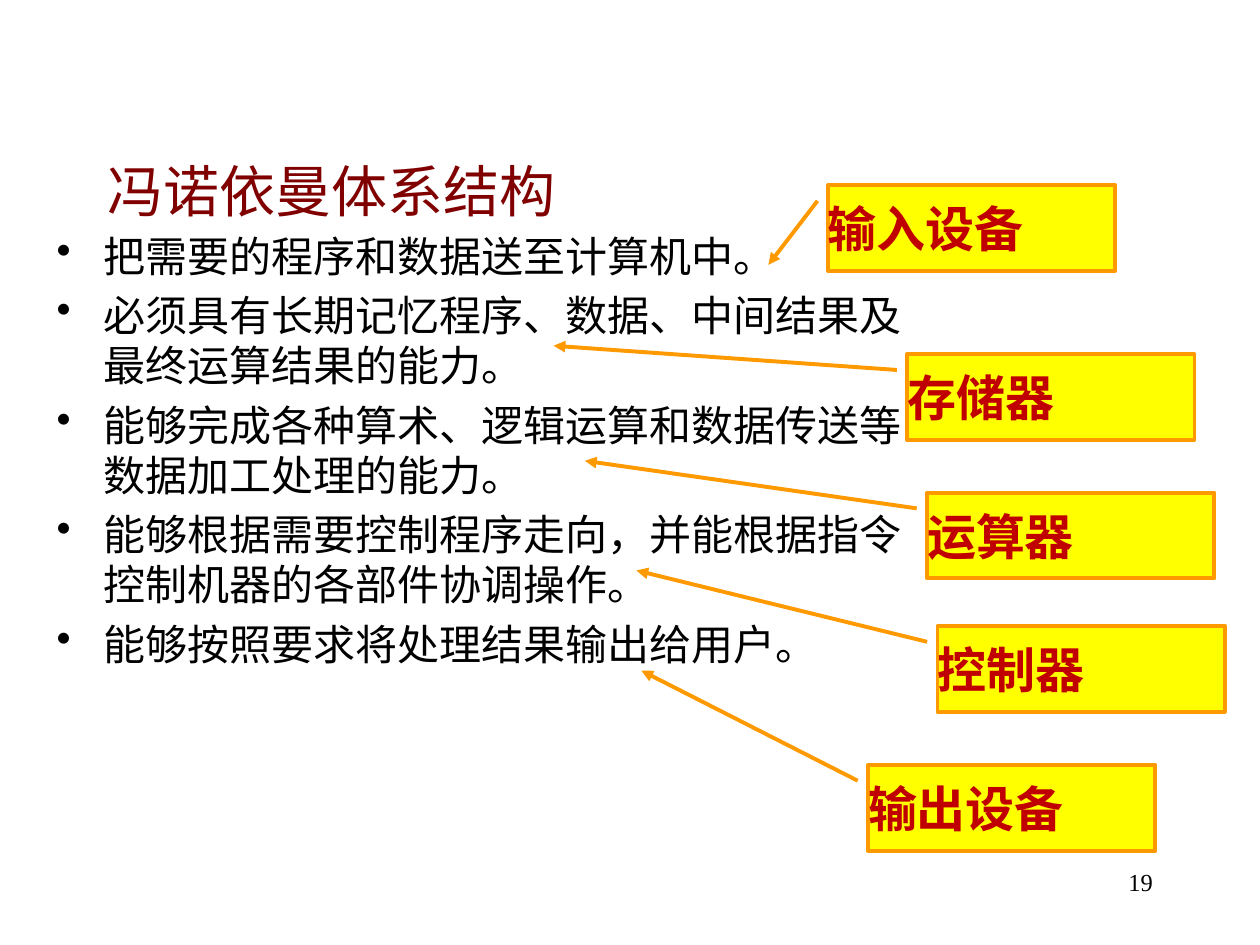
from dataclasses import dataclass

from lxml import etree
from pptx import Presentation
from pptx.dml.color import RGBColor
from pptx.enum.shapes import MSO_SHAPE
from pptx.enum.text import MSO_ANCHOR, PP_ALIGN
from pptx.oxml.ns import qn
from pptx.util import Cm, Pt

CALLOUT = MSO_SHAPE.LINE_CALLOUT_1
MIDDLE = MSO_ANCHOR.MIDDLE
LEFT, RIGHT = PP_ALIGN.LEFT, PP_ALIGN.RIGHT


@dataclass(frozen=True)
class Theme:
    font: str = "Times New Roman"
    black: str = "000000"
    maroon: str = "800000"
    red: str = "C00000"
    yellow: str = "FFFF00"
    orange: str = "FF9900"
    title: float = 32
    body: float = 24
    label: float = 28
    number: float = 14
    gap: float = 5
    line: float = 2.25


THEME = Theme()
INDENT = Cm(0.95)
WIDE, HIGH = 5.79, 1.73
START_X, START_Y = -0.21, 0.32

POINTS = [
    "把需要的程序和数据送至计算机中。",
    "必须具有长期记忆程序、数据、中间结果及最终运算结果的能力。",
    "能够完成各种算术、逻辑运算和数据传送等数据加工处理的能力。",
    "能够根据需要控制程序走向，并能根据指令控制机器的各部件协调操作。",
    "能够按照要求将处理结果输出给用户。",
]

UNITS = [
    ("输入设备", (16.69, 3.73), (15.49, 5.34)),
    ("存储器", (18.29, 7.14), (11.16, 6.97)),
    ("运算器", (18.69, 9.93), (11.79, 9.29)),
    ("控制器", (18.9, 12.62), (12.83, 11.5)),
    ("输出设备", (17.5, 15.42), (12.93, 13.52)),
]


def style(para, size, color, bold=False):
    for run in para.runs:
        run.font.name = THEME.font
        run.font.size = Pt(size)
        run.font.bold = bold
        run.font.color.rgb = RGBColor.from_string(color)


def add_text(slide, box, lines, size, color):
    frame = slide.shapes.add_textbox(*map(Cm, box)).text_frame
    frame.word_wrap = True
    frame.text = "\n".join(lines)
    for para in frame.paragraphs:
        style(para, size, color)
    return frame


def add_list(slide, box, lines):
    frame = add_text(slide, box, lines, THEME.body, THEME.black)
    for i, para in enumerate(frame.paragraphs):
        if i:
            para.space_before = Pt(THEME.gap)
        props = para._p.get_or_add_pPr()
        props.set("marL", str(INDENT))
        props.set("indent", str(-INDENT))
        etree.SubElement(props, qn("a:buChar"), char="•")


def add_label(slide, text, spot, tip):
    left, top = spot
    shape = slide.shapes.add_shape(CALLOUT, Cm(left), Cm(top), Cm(WIDE), Cm(HIGH))
    ends = (START_Y / HIGH, START_X / WIDE,
            (tip[1] - top) / HIGH, (tip[0] - left) / WIDE)
    for i, value in enumerate(ends):
        shape.adjustments[i] = value
    shape.shadow.inherit = False
    shape.fill.solid()
    shape.fill.fore_color.rgb = RGBColor.from_string(THEME.yellow)
    shape.line.color.rgb = RGBColor.from_string(THEME.orange)
    shape.line.width = Pt(THEME.line)
    etree.SubElement(shape.line._get_or_add_ln(), qn("a:tailEnd"), type="triangle")
    frame = shape.text_frame
    frame.margin_left = frame.margin_top = frame.margin_bottom = 0
    frame.margin_right = Cm(0.3)
    frame.vertical_anchor = MIDDLE
    frame.text = text
    para = frame.paragraphs[0]
    para.alignment = LEFT
    style(para, THEME.label, THEME.red, True)


def main():
    deck = Presentation()
    deck.slide_width, deck.slide_height = Cm(25.4), Cm(19.05)
    slide = deck.slides.add_slide(deck.slide_layouts[6])
    number = add_text(slide, (18.21, 17.35, 5.28, 1.27), ["19"],
                      THEME.number, THEME.black)
    number.paragraphs[0].alignment = RIGHT
    title = add_text(slide, (1.91, 2.24, 21.59, 3.18), ["冯诺依曼体系结构"],
                     THEME.title, THEME.maroon)
    title.vertical_anchor = MIDDLE
    add_list(slide, (0.89, 4.52, 17.81, 11), POINTS)
    for unit in UNITS:
        add_label(slide, *unit)
    deck.save("out.pptx")


if __name__ == "__main__":
    main()
